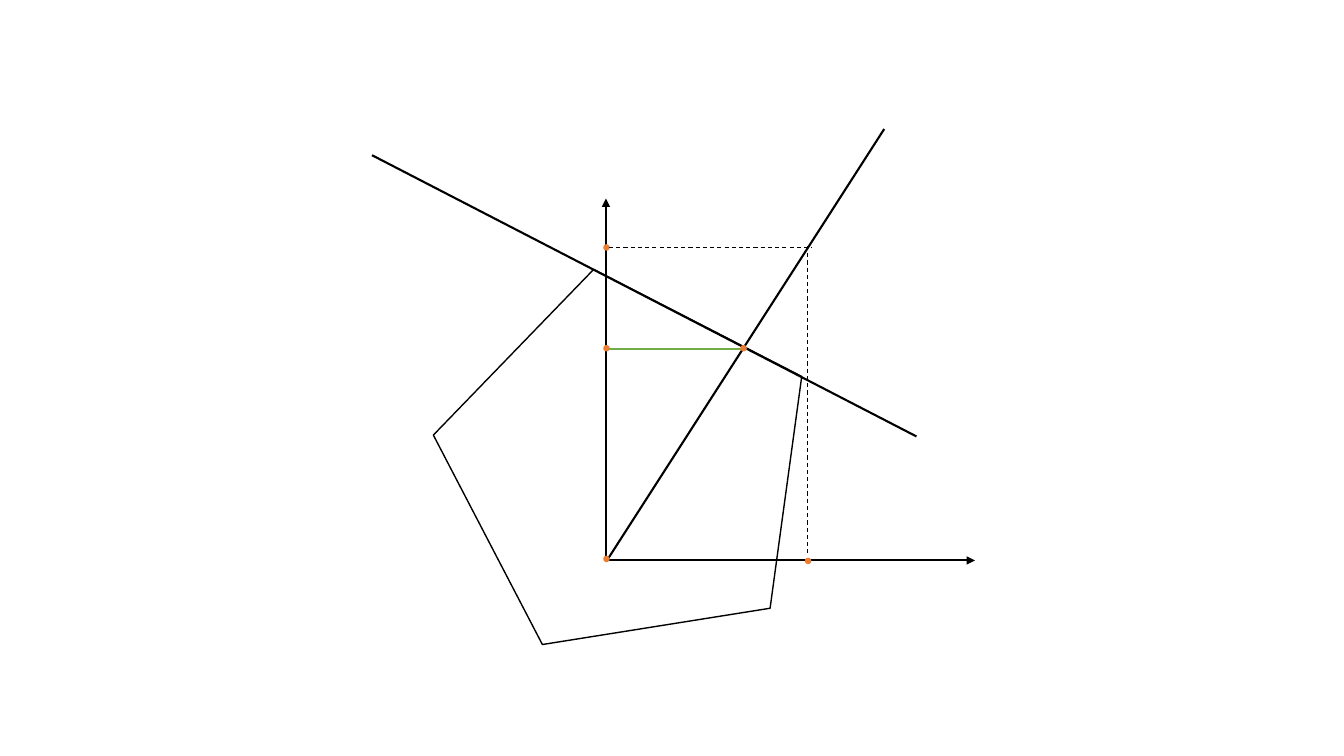
"""Draw a pentagon cut by a ray from the origin of a pair of axes."""
from dataclasses import dataclass

from lxml.etree import SubElement
from pptx import Presentation
from pptx.dml.color import RGBColor
from pptx.dml.line import LineFormat
from pptx.enum.dml import MSO_LINE_DASH_STYLE as Dash
from pptx.enum.shapes import MSO_CONNECTOR as Connector, MSO_SHAPE as Preset
from pptx.oxml.ns import qn
from pptx.slide import Slide
from pptx.util import Pt

EMU_PER_PX = 9144
COLORS = {"ink": "000000", "paper": "FFFFFF", "dot": "ED7D31", "distance": "70AD47"}
DOT_SIZE = 5


@dataclass(frozen=True)
class Segment:
    start: tuple[int, int]
    end: tuple[int, int]
    color: str = "ink"
    width: float = 1.5
    dashed: bool = False
    arrow: bool = False


@dataclass(frozen=True)
class Figure:
    preset: Preset
    left: int
    top: int
    width: int
    height: int
    fill: str
    line: str
    rotation: float = 0


PENTAGON = Figure(Preset.REGULAR_PENTAGON, 450, 279, 379, 351, "paper", "ink", 62.5)
ORIGIN = (601, 556)
SOLID_LINES = [
    Segment(ORIGIN, (967, 556), arrow=True),
    Segment(ORIGIN, (601, 197), arrow=True),
    Segment((601, 346), (737, 346), color="distance"),
    Segment(ORIGIN, (802, 556), width=0.75, dashed=True),
    Segment((602, 556), (877, 128)),
    Segment((369, 154), (909, 433)),
]
DOT_CORNERS = [(599, 243), (599, 552), (735, 343), (599, 343), (799, 554)]
PROJECTIONS = [
    Segment((801, 244), (801, 552), width=0.75, dashed=True),
    Segment((604, 246), (805, 246), width=0.75, dashed=True),
]


def px(value: int) -> int:
    """Turn px into EMU."""
    return value * EMU_PER_PX


def rgb(name: str) -> RGBColor:
    """Look up a named colour."""
    return RGBColor.from_string(COLORS[name])


def format_line(line: LineFormat, color: str, width: float) -> None:
    """Set the colour and the width in points of a line."""
    line.color.rgb = rgb(color)
    line.width = Pt(width)


def draw_segment(slide: Slide, segment: Segment) -> None:
    """Draw a straight line, dashed or with an arrowhead if asked."""
    connector = slide.shapes.add_connector(
        Connector.STRAIGHT, *map(px, segment.start + segment.end)
    )
    format_line(connector.line, segment.color, segment.width)
    if segment.dashed:
        connector.line.dash_style = Dash.DASH
    properties = connector._element.spPr
    if segment.arrow:
        SubElement(properties.find(qn("a:ln")), qn("a:tailEnd"), type="triangle")
    SubElement(properties, qn("a:effectLst"))


def draw_figure(slide: Slide, figure: Figure) -> None:
    """Draw a filled and outlined preset shape."""
    shape = slide.shapes.add_shape(
        figure.preset, px(figure.left), px(figure.top), px(figure.width), px(figure.height)
    )
    shape.shadow.inherit = False
    shape.rotation = figure.rotation
    shape.fill.solid()
    shape.fill.fore_color.rgb = rgb(figure.fill)
    format_line(shape.line, figure.line, 1)


def main() -> None:
    """Build and save the slide."""
    presentation = Presentation()
    presentation.slide_width = px(1333)
    presentation.slide_height = px(750)
    slide = presentation.slides.add_slide(presentation.slide_layouts[6])

    draw_figure(slide, PENTAGON)
    for segment in SOLID_LINES:
        draw_segment(slide, segment)
    for left, top in DOT_CORNERS:
        draw_figure(slide, Figure(Preset.OVAL, left, top, DOT_SIZE, DOT_SIZE, "dot", "dot"))
    for segment in PROJECTIONS:
        draw_segment(slide, segment)

    presentation.save("out.pptx")


if __name__ == "__main__":
    main()
